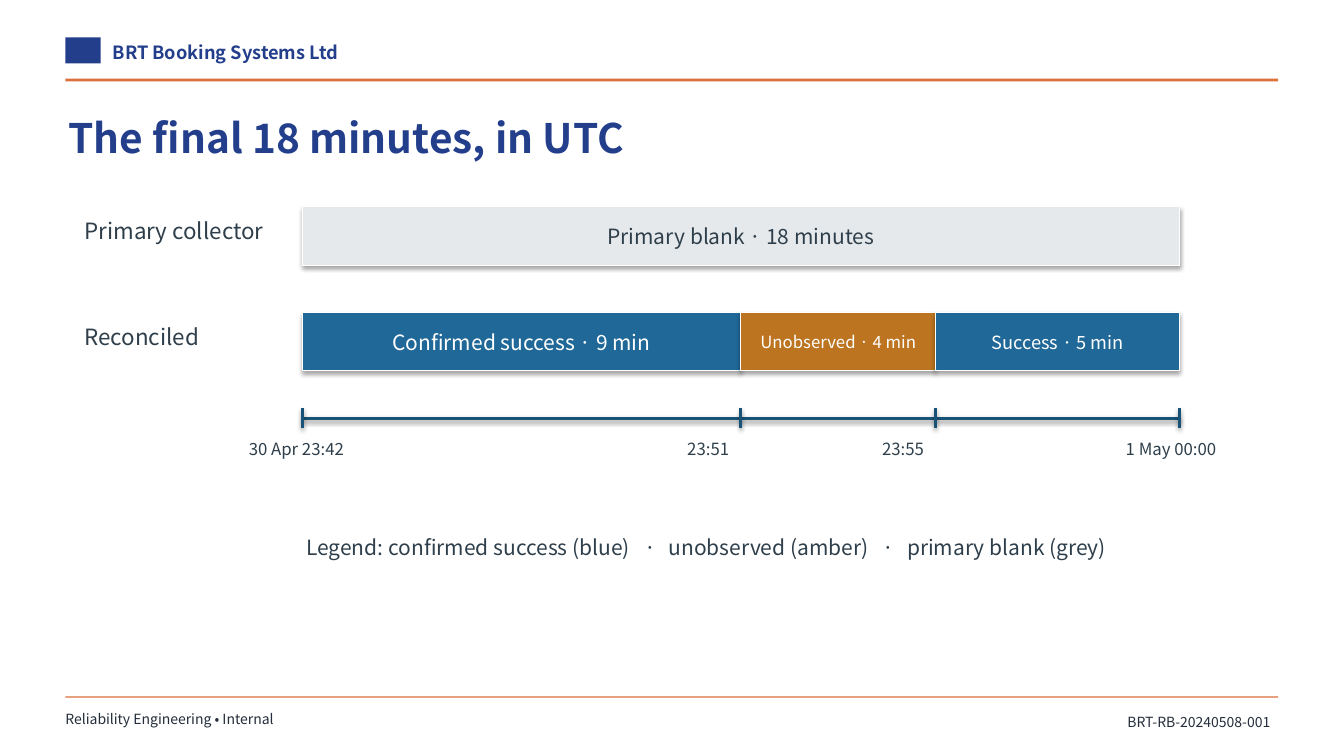
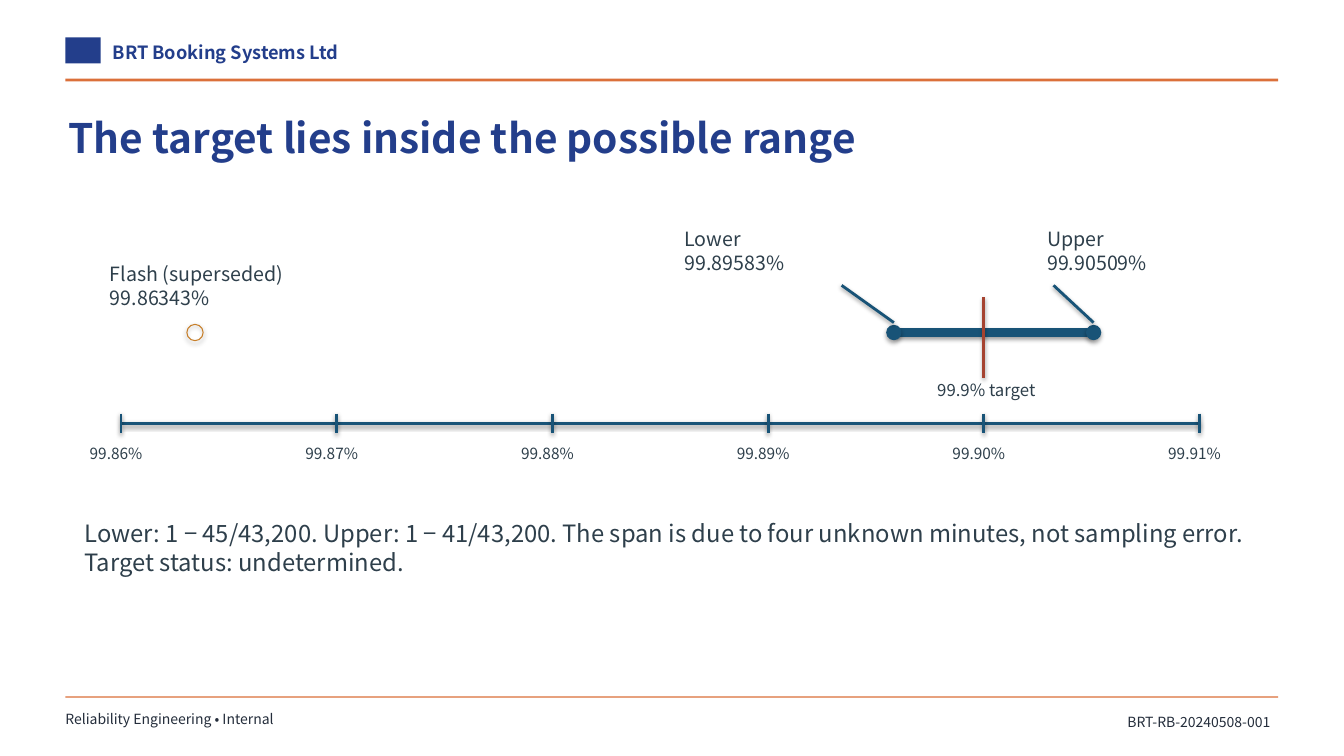
from dataclasses import dataclass

from lxml.etree import SubElement
from pptx import Presentation
from pptx.dml.color import RGBColor
from pptx.enum.shapes import MSO_CONNECTOR, MSO_SHAPE
from pptx.enum.text import MSO_ANCHOR, MSO_AUTO_SIZE, PP_ALIGN
from pptx.oxml.ns import qn
from pptx.util import Cm, Pt


@dataclass(frozen=True)
class Theme:
    font: str = "Noto Sans CJK JP"
    navy: str = "233E8B"
    orange: str = "DB703A"
    footer: str = "242D3B"
    ink: str = "2E3F4B"
    white: str = "FFFFFF"
    grey: str = "E6E9EB"
    blue: str = "1F6897"
    amber: str = "BC7420"
    ring: str = "C77E28"
    axis: str = "185377"
    target: str = "A54330"
    title_size: float = 29
    body_size: float = 17
    row_size: float = 16
    bar_size: float = 15
    callout_size: float = 14
    brand_size: float = 13
    small_size: float = 12
    tick_size: float = 11
    footer_size: float = 10
    line_width: float = 2
    range_width: float = 6
    outline_width: float = 0.75


@dataclass(frozen=True)
class Box:
    left: float
    top: float
    width: float
    height: float

    def inner(self, dx, dy, width, height):
        return Box(self.left + dx, self.top + dy, width, height)

    def emu(self):
        return [Cm(v) for v in (self.left, self.top, self.width, self.height)]


THEME = Theme()
PAGE = Box(0, 0, 33.87, 19.05)
LABEL_INSETS = (0.1, 0.13)
HEADER_INSETS = (0, 0.08)


def rgb(value):
    return RGBColor.from_string(value)


def add_run(p, text, size, color, bold=False):
    r = p.add_run()
    r.text = text
    r.font.name = THEME.font
    r.font.size = Pt(size)
    r.font.bold = bold
    r.font.color.rgb = rgb(color)


def add_text(slide, box, lines, size, color=THEME.ink, bold=False,
             insets=LABEL_INSETS):
    tf = slide.shapes.add_textbox(*box.emu()).text_frame
    tf.word_wrap = True
    tf.auto_size = MSO_AUTO_SIZE.SHAPE_TO_FIT_TEXT
    tf.margin_left = tf.margin_right = Cm(insets[0])
    tf.margin_top = tf.margin_bottom = Cm(insets[1])
    for i, line in enumerate(lines):
        p = tf.add_paragraph() if i else tf.paragraphs[0]
        add_run(p, line, size, color, bold)
    return tf


def add_header_text(slide, box, text, size, color, bold=False):
    tf = add_text(slide, box, [text], size, color, bold, HEADER_INSETS)
    p = tf.paragraphs[0]
    p.line_spacing = 1.1
    p.space_after = Pt(8)
    return tf


def add_block(slide, box, fill):
    sp = slide.shapes.add_shape(MSO_SHAPE.RECTANGLE, *box.emu())
    sp.shadow.inherit = False
    sp.fill.solid()
    sp.fill.fore_color.rgb = rgb(fill)
    sp.line.fill.background()


def add_bar(slide, box, text, size, fill, color):
    sp = slide.shapes.add_shape(MSO_SHAPE.RECTANGLE, *box.emu())
    sp.fill.solid()
    sp.fill.fore_color.rgb = rgb(fill)
    sp.line.color.rgb = rgb(THEME.white)
    sp.line.width = Pt(THEME.outline_width)
    tf = sp.text_frame
    tf.vertical_anchor = MSO_ANCHOR.MIDDLE
    p = tf.paragraphs[0]
    p.alignment = PP_ALIGN.CENTER
    add_run(p, text, size, color)


def add_dot(slide, x, y, diameter, color, filled=True):
    box = Box(x - diameter / 2, y - diameter / 2, diameter, diameter)
    sp = slide.shapes.add_shape(MSO_SHAPE.OVAL, *box.emu())
    if filled:
        sp.fill.solid()
        sp.fill.fore_color.rgb = rgb(color)
    else:
        sp.fill.background()
    sp.line.color.rgb = rgb(color)
    sp.line.width = Pt(THEME.outline_width)


def add_line(slide, x1, y1, x2, y2, color=THEME.axis, width=THEME.line_width):
    line = slide.shapes.add_connector(
        MSO_CONNECTOR.STRAIGHT, Cm(x1), Cm(y1), Cm(x2), Cm(y2))
    line.line.color.rgb = rgb(color)
    line.line.width = Pt(width)


def add_axis(slide, box, ticks, size, label_shift, label_width):
    middle = box.top + box.height / 2
    add_line(slide, box.left, middle, box.left + box.width, middle)
    for share, label in ticks:
        dx = share * box.width
        x = box.left + dx
        add_line(slide, x, box.top, x, box.top + box.height)
        label_box = box.inner(dx - label_shift, box.height + 0.13, label_width, 0.89)
        add_text(slide, label_box, [label], size)


def add_frame(slide, page, title):
    left, width = 1.65, 30.56
    add_block(slide, page.inner(left, 0.94, 0.89, 0.66), THEME.navy)
    add_block(slide, page.inner(left, 1.98, width, 0.07), THEME.orange)
    add_block(slide, page.inner(left, 17.55, width, 0.03), THEME.orange)
    add_header_text(slide, page.inner(2.84, 0.91, 16.51, 0.84),
                    "BRT Booking Systems Ltd", THEME.brand_size, THEME.navy, True)
    add_header_text(slide, page.inner(left, 17.78, 22.61, 0.81),
                    "Reliability Engineering • Internal",
                    THEME.footer_size, THEME.footer)
    tf = add_header_text(slide, page.inner(1.73, 2.64, 30.23, 1.78),
                         title, THEME.title_size, THEME.navy, True)
    tf.auto_size = MSO_AUTO_SIZE.NONE
    tf = add_text(slide, page.inner(26.37, 17.78, 5.84, 0.81),
                  ["BRT-RB-20240508-001"], THEME.footer_size, THEME.footer,
                  insets=(0.2, 0))
    tf.auto_size = MSO_AUTO_SIZE.NONE
    tf.vertical_anchor = MSO_ANCHOR.MIDDLE
    tf.paragraphs[0].alignment = PP_ALIGN.RIGHT


def add_legend(slide, box):
    tf = add_text(slide, box, [], THEME.bar_size)
    p = tf.paragraphs[0]
    tabs = SubElement(p._p.get_or_add_pPr(), qn("a:tabLst"))
    for position, align in ((8.66, "ctr"), (9.13, "l"), (14.68, "ctr"), (15.14, "l")):
        SubElement(tabs, qn("a:tab"), pos=str(Cm(position)), algn=align)
    entries = ("Legend: confirmed success (blue)", "unobserved (amber)",
               "primary blank (grey)")
    add_run(p, "\t·\t".join(entries), THEME.bar_size, THEME.ink)


def add_timeline(slide, box):
    minutes = 18
    bar_height, row_pitch = 1.47, 2.67
    rows = (
        ("Primary collector", (
            (18, "Primary blank · 18 minutes", THEME.bar_size, THEME.grey, THEME.ink),)),
        ("Reconciled", (
            (9, "Confirmed success · 9 min", THEME.bar_size, THEME.blue, THEME.white),
            (4, "Unobserved · 4 min", THEME.small_size, THEME.amber, THEME.white),
            (5, "Success · 5 min", THEME.brand_size, THEME.blue, THEME.white))),
    )
    for i, (name, spans) in enumerate(rows):
        top = i * row_pitch
        add_text(slide, box.inner(-5.59, top + 0.13, 5.33, 1.14), [name], THEME.row_size)
        start = 0
        for length, text, size, fill, color in spans:
            bar = box.inner(start * box.width / minutes, top,
                            length * box.width / minutes, bar_height)
            add_bar(slide, bar, text, size, fill, color)
            start += length
    times = ((0, "30 Apr 23:42"), (9, "23:51"), (13, "23:55"), (18, "1 May 00:00"))
    ticks = [(minute / minutes, label) for minute, label in times]
    add_axis(slide, box.inner(0, 5.08, box.width, 0.5), ticks,
             THEME.small_size, 1.45, 3.3)
    add_legend(slide, box.inner(0, 8.13, 22.61, 1.52))


def add_range(slide, box):
    first, step, count = 99.86, 0.01, 6
    flash, lower, target, upper = 99.86343, 99.89583, 99.9, 99.90509

    def x_of(value):
        return box.left + (value - first) / (step * (count - 1)) * box.width

    ticks = [(i / (count - 1), f"{first + i * step:.2f}%") for i in range(count)]
    add_axis(slide, box.inner(0, 4.83, box.width, 0.5), ticks,
             THEME.tick_size, 0.89, 2.16)

    y = box.top + 2.79
    add_line(slide, x_of(lower), y, x_of(upper), y, width=THEME.range_width)
    for value in (lower, upper):
        add_dot(slide, x_of(value), y, 0.36, THEME.axis)
    add_dot(slide, x_of(flash), y, 0.41, THEME.ring, filled=False)
    add_line(slide, x_of(target), y - 0.89, x_of(target), y + 1.14, THEME.target)

    callouts = (
        ("Flash (superseded)", flash, -0.38, 0.89, 6.6, None),
        ("Lower", lower, 14.1, 0, 4.45, 18.16),
        ("Upper", upper, 23.24, 0, 4.45, 23.5),
    )
    for name, value, dx, dy, width, leader in callouts:
        add_text(slide, box.inner(dx, dy, width, 1.6), [name, f"{value:.5f}%"],
                 THEME.callout_size)
        if leader is not None:
            add_line(slide, box.left + leader, box.top + 1.6, x_of(value), y - 0.25)
    add_text(slide, box.inner(20.47, 3.86, 4.57, 0.89), ["99.9% target"],
             THEME.small_size)


def build_timeline_slide(slide):
    add_frame(slide, PAGE, "The final 18 minutes, in UTC")
    add_timeline(slide, PAGE.inner(7.62, 5.21, 22.1, 9.65))


def build_range_slide(slide):
    add_frame(slide, PAGE, "The target lies inside the possible range")
    add_range(slide, PAGE.inner(3.05, 5.59, 27.18, 6.35))
    add_text(slide, PAGE.inner(2.03, 12.95, 29.72, 2.54),
             ["Lower: 1 − 45/43,200. Upper: 1 − 41/43,200. The span is due to four "
              "unknown minutes, not sampling error. Target status: undetermined."],
             THEME.body_size)


def main():
    prs = Presentation()
    prs.slide_width = Cm(PAGE.width)
    prs.slide_height = Cm(PAGE.height)
    for build in (build_timeline_slide, build_range_slide):
        build(prs.slides.add_slide(prs.slide_layouts[6]))
    prs.save("out.pptx")


if __name__ == "__main__":
    main()
